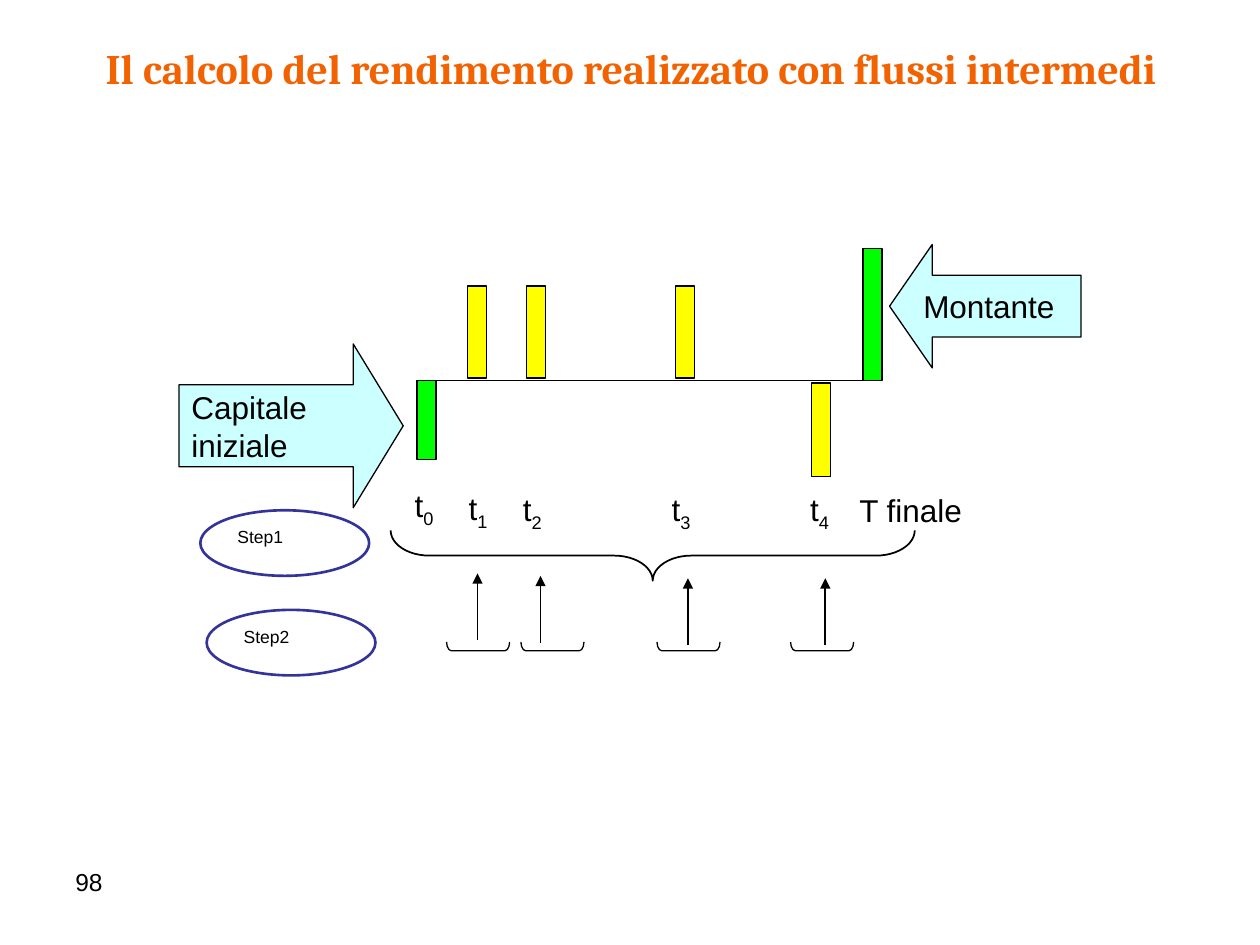
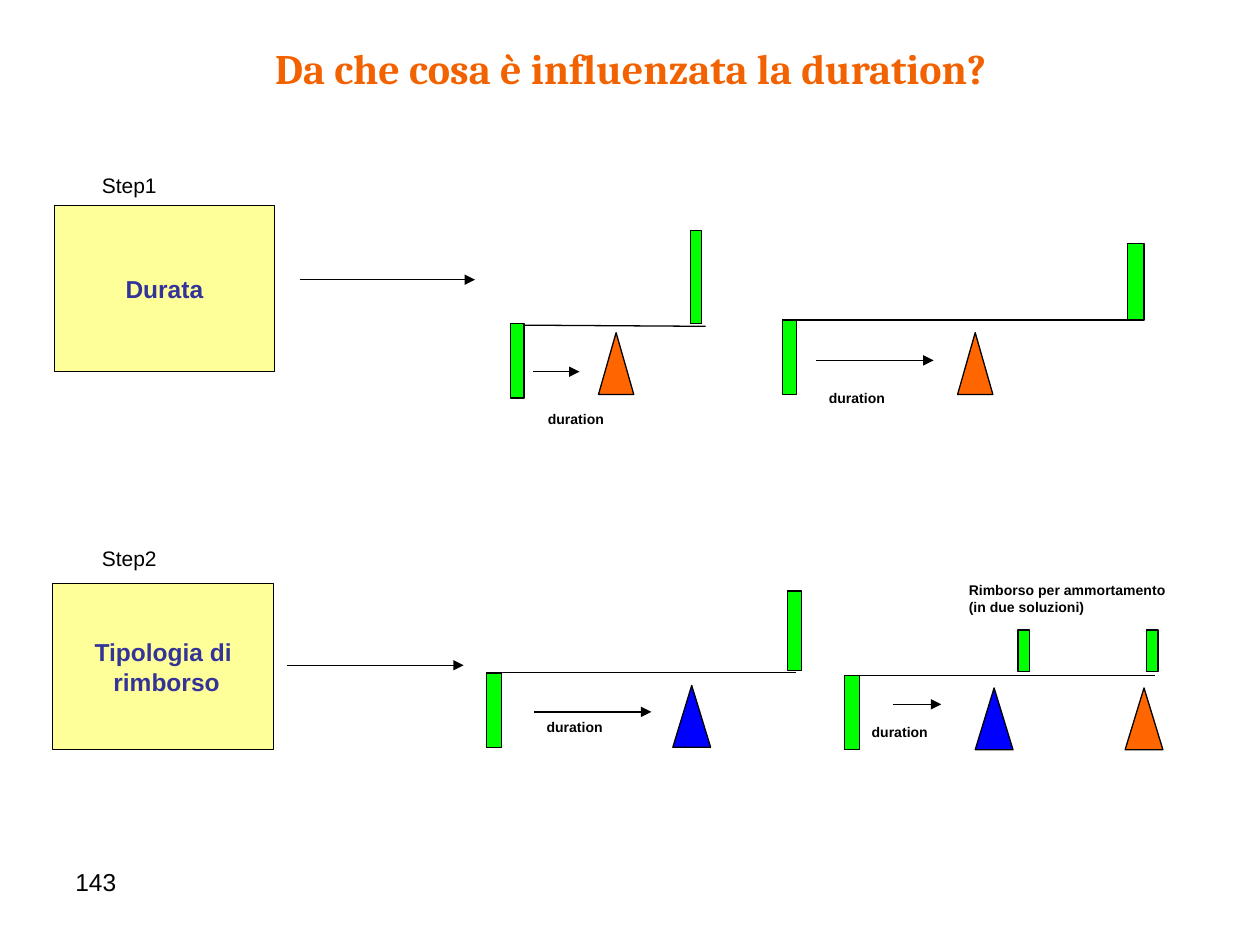
"""Builds two slides on realised yield and on what drives duration."""
from dataclasses import dataclass
from typing import NamedTuple, Optional

from lxml import etree
from pptx import Presentation
from pptx import util as u
from pptx.dml import color
from pptx.enum import shapes, text
from pptx.oxml import ns

SHAPE = shapes.MSO_SHAPE
ALIGN = text.PP_ALIGN
ANCHOR = text.MSO_ANCHOR


@dataclass(frozen=True)
class Theme:
    """Colours, fonts, type sizes and line widths."""
    title: str = "F26200"
    ink: str = "000000"
    navy: str = "333399"
    green: str = "00FF00"
    yellow: str = "FFFF00"
    aqua: str = "CCFFFF"
    cream: str = "FFFF99"
    orange: str = "FF6600"
    blue: str = "0000FF"
    title_font: str = "Cambria"
    body_font: str = "Arial"
    title_size: int = 24
    large: int = 18
    medium: int = 14
    label: int = 12
    small: int = 10
    tiny: int = 8
    hairline: float = 0.5
    thin: float = 0.75
    regular: float = 1
    strong: float = 1.5


THEME = Theme()


class Area(NamedTuple):
    """Position and size in inches."""
    left: float
    top: float
    width: float
    height: float


class Stroke(NamedTuple):
    """A straight line between two points in inches."""
    x1: float
    y1: float
    x2: float
    y2: float


class Style(NamedTuple):
    """Look of a piece of text."""
    size: int
    tint: str = THEME.ink
    bold: bool = False
    font: str = THEME.body_font
    align: Optional[ALIGN] = None


class Pivot(NamedTuple):
    """A triangle under a beam."""
    area: Area
    fill: str = THEME.orange


@dataclass(frozen=True)
class Seesaw:
    """A beam with cash flows, pivots and a duration arrow."""
    beam: Stroke
    flows: tuple[Area, ...]
    pivots: tuple[Pivot, ...]
    arrow: Stroke
    label: tuple[float, float]


@dataclass(frozen=True)
class Factor:
    """A factor that influences duration."""
    step: str
    step_top: float
    lines: tuple[str, ...]
    area: Area
    arrow: Stroke


LARGE = Style(THEME.large)
NUMBER = Style(THEME.medium)
STEP = Style(THEME.label)
OVAL = Style(THEME.small)
NOTE = Style(THEME.tiny, bold=True)
FACTOR = Style(THEME.medium, THEME.navy, True, align=ALIGN.CENTER)
TITLE = Style(THEME.title_size, THEME.title, True, THEME.title_font, ALIGN.CENTER)


def rgb(value: str) -> color.RGBColor:
    """Turn a hex string into a colour."""
    return color.RGBColor.from_string(value)


def inches(values: tuple) -> list:
    """Turn numbers into lengths."""
    return [u.Inches(value) for value in values]


def add_span(para, words: str, style: Style, subscript: bool = False) -> None:
    """Add one formatted run."""
    span = para.add_run()
    span.text = words
    span.font.name = style.font
    span.font.size = u.Pt(style.size)
    span.font.bold = style.bold
    span.font.color.rgb = rgb(style.tint)
    if subscript:
        span.font._element.set("baseline", "-25000")


def write(frame, lines: tuple[str, ...], style: Style, subscript: str = "") -> None:
    """Write one paragraph per line, with an optional final subscript."""
    for index, line in enumerate(lines):
        para = frame.add_paragraph() if index else frame.paragraphs[0]
        para.alignment = style.align
        add_span(para, line, style)
    if subscript:
        add_span(para, subscript, style, True)


def add_box(page, area: Area, lines: tuple[str, ...], style: Style,
            subscript: str = "", wrap: bool = True, margin: Optional[float] = None) -> None:
    """Add a text box."""
    frame = page.shapes.add_textbox(*inches(area)).text_frame
    frame.word_wrap = wrap
    if margin is not None:
        frame.margin_left = frame.margin_right = u.Inches(margin)
        frame.margin_top = frame.margin_bottom = u.Inches(margin)
    write(frame, lines, style, subscript)


def add_figure(page, kind: SHAPE, area: Area, fill: Optional[str] = None,
               width: float = THEME.thin, tint: str = THEME.ink,
               adjust: tuple[float, ...] = (), turn: float = 0):
    """Add an outlined preset shape."""
    figure = page.shapes.add_shape(kind, *inches(area))
    figure.shadow.inherit = False
    figure.rotation = turn
    for index, value in enumerate(adjust):
        figure.adjustments[index] = value
    if fill:
        figure.fill.solid()
        figure.fill.fore_color.rgb = rgb(fill)
    else:
        figure.fill.background()
    figure.line.color.rgb = rgb(tint)
    figure.line.width = u.Pt(width)
    return figure


def fill_text(figure, lines: tuple[str, ...], style: Style,
              anchor: ANCHOR = ANCHOR.MIDDLE, wrap: bool = False) -> None:
    """Write inside a shape, left aligned unless the style says otherwise."""
    frame = figure.text_frame
    frame.word_wrap = wrap
    frame.vertical_anchor = anchor
    write(frame, lines, style._replace(align=style.align or ALIGN.LEFT))


def add_line(page, stroke: Stroke, width: float = THEME.thin, arrow: bool = False) -> None:
    """Add a straight line, with an arrowhead at its end if asked."""
    line = page.shapes.add_connector(shapes.MSO_CONNECTOR.STRAIGHT, *inches(stroke))
    line.line.color.rgb = rgb(THEME.ink)
    line.line.width = u.Pt(width)
    if arrow:
        etree.SubElement(line.line._get_or_add_ln(), ns.qn("a:tailEnd"), type="triangle")
    etree.SubElement(line._element.spPr, ns.qn("a:effectLst"))


def add_page(deck, title: str, number: int):
    """Add a slide with its title and number."""
    page = deck.slides.add_slide(deck.slide_layouts[5])
    heading = page.shapes.title
    heading.left, heading.top, heading.width, heading.height = inches(Area(0.48, 0.29, 9.05, 0.51))
    heading.text_frame.vertical_anchor = ANCHOR.TOP
    heading.text_frame.auto_size = text.MSO_AUTO_SIZE.NONE
    write(heading.text_frame, (title,), TITLE)
    add_box(page, Area(0.5, 6.83, 2.33, 0.52), (str(number),), NUMBER)
    return page


def build_yield(deck) -> None:
    """Draw the time line of the cash flows."""
    page = add_page(deck, "Il calcolo del rendimento realizzato con flussi intermedi", 98)
    axis = 3.02
    add_line(page, Stroke(3.31, axis, 7, axis))
    for left, top, height, fill in (
        (3.31, axis, 0.63, THEME.green), (6.85, 1.97, 1.05, THEME.green),
        (3.71, 2.27, 0.73, THEME.yellow), (4.18, 2.27, 0.73, THEME.yellow),
        (5.36, 2.27, 0.73, THEME.yellow), (6.44, 3.04, 0.74, THEME.yellow),
    ):
        add_figure(page, SHAPE.RECTANGLE, Area(left, top, 0.15, height), fill)

    capital = add_figure(page, SHAPE.RIGHT_ARROW, Area(1.42, 2.73, 1.78, 1.3),
                         THEME.aqua, adjust=(0.5, 0.305))
    fill_text(capital, ("Capitale", "iniziale"), LARGE)
    proceeds = add_figure(page, SHAPE.LEFT_ARROW, Area(7.06, 1.94, 1.52, 0.98),
                          THEME.aqua, adjust=(0.5, 0.346))
    fill_text(proceeds, ("Montante",), LARGE)

    for index, (left, top) in enumerate(
            ((3.29, 3.86), (3.72, 3.88), (4.15, 3.89), (5.33, 3.89), (6.43, 3.89))):
        add_box(page, Area(left, top, 0.18, 0.29), ("t",), LARGE, str(index), False, 0)
    add_box(page, Area(6.82, 3.9, 0.89, 0.29), ("T finale",), LARGE, wrap=False, margin=0)

    add_figure(page, SHAPE.RIGHT_BRACE, Area(4.98, 2.33, 0.4, 4.16),
               width=THEME.regular, adjust=(0.767, 0.5), turn=90)
    for step, left, top in (("Step1", 1.59, 4.05), ("Step2", 1.64, 4.84)):
        oval = add_figure(page, SHAPE.OVAL, Area(left, top, 1.34, 0.52),
                          width=THEME.strong, tint=THEME.navy)
        fill_text(oval, (step,), OVAL, ANCHOR.TOP, True)
    for bracket, arrow, foot in ((3.76, 3.79, 5.08), (4.35, 4.29, 5.1),
                                 (5.43, 5.46, 5.12), (6.49, 6.55, 5.12)):
        add_figure(page, SHAPE.LEFT_BRACKET, Area(bracket, 4.88, 0.07, 0.5),
                   adjust=(0.543,), turn=270)
        add_line(page, Stroke(arrow, foot, arrow, foot - 0.53), THEME.regular, True)


FACTORS = (
    Factor("Step1", 1.32, ("Durata",), Area(0.43, 1.63, 1.75, 1.32),
           Stroke(2.38, 2.22, 3.77, 2.22)),
    Factor("Step2", 4.28, ("Tipologia di", " rimborso"), Area(0.42, 4.63, 1.75, 1.32),
           Stroke(2.28, 5.28, 3.68, 5.28)),
)
SEESAWS = (
    Seesaw(Stroke(4.05, 2.58, 5.6, 2.59),
           (Area(4.05, 2.57, 0.11, 0.59), Area(5.48, 1.83, 0.09, 0.74)),
           (Pivot(Area(4.75, 2.64, 0.28, 0.49)),),
           Stroke(4.23, 2.95, 4.6, 2.95), (4.25, 3.21)),
    Seesaw(Stroke(6.21, 2.54, 9.07, 2.54),
           (Area(6.21, 2.54, 0.11, 0.59), Area(8.95, 1.93, 0.13, 0.61)),
           (Pivot(Area(7.6, 2.64, 0.28, 0.49)),),
           Stroke(6.48, 2.86, 7.41, 2.86), (6.48, 3.04)),
    Seesaw(Stroke(6.7, 5.36, 9.17, 5.36),
           (Area(6.7, 5.36, 0.12, 0.59), Area(9.1, 5, 0.09, 0.33), Area(8.08, 5, 0.09, 0.33)),
           (Pivot(Area(8.93, 5.46, 0.3, 0.49)), Pivot(Area(7.74, 5.46, 0.3, 0.49), THEME.blue)),
           Stroke(7.09, 5.59, 7.47, 5.59), (6.82, 5.69)),
    Seesaw(Stroke(3.86, 5.34, 6.32, 5.34),
           (Area(3.86, 5.34, 0.12, 0.59), Area(6.25, 4.69, 0.11, 0.63)),
           (Pivot(Area(5.34, 5.44, 0.3, 0.49), THEME.blue),),
           Stroke(4.24, 5.65, 5.17, 5.65), (4.24, 5.65)),
)


def build_duration(deck) -> None:
    """Draw the factors and their seesaws."""
    page = add_page(deck, "Da che cosa è influenzata la duration?", 143)
    for factor in FACTORS:
        panel = add_figure(page, SHAPE.RECTANGLE, factor.area, THEME.cream, THEME.hairline)
        fill_text(panel, factor.lines, FACTOR)
        add_line(page, factor.arrow, arrow=True)
        add_box(page, Area(0.71, factor.step_top, 0.75, 0.34), (factor.step,), STEP, wrap=False)
    for seesaw in SEESAWS:
        add_line(page, seesaw.beam)
        for flow in seesaw.flows:
            add_figure(page, SHAPE.RECTANGLE, flow, THEME.green)
        for pivot in seesaw.pivots:
            add_figure(page, SHAPE.ISOSCELES_TRIANGLE, pivot.area, pivot.fill)
        add_line(page, seesaw.arrow, arrow=True)
        add_box(page, Area(*seesaw.label, 0.84, 0.27), ("duration",), NOTE)
    add_box(page, Area(7.59, 4.57, 1.95, 0.44),
            ("Rimborso per ammortamento", "(in due soluzioni)"), NOTE)


def main() -> None:
    """Build and save the deck."""
    deck = Presentation()
    deck.slide_width, deck.slide_height = u.Inches(10), u.Inches(7.5)
    build_yield(deck)
    build_duration(deck)
    deck.save("out.pptx")


if __name__ == "__main__":
    main()
